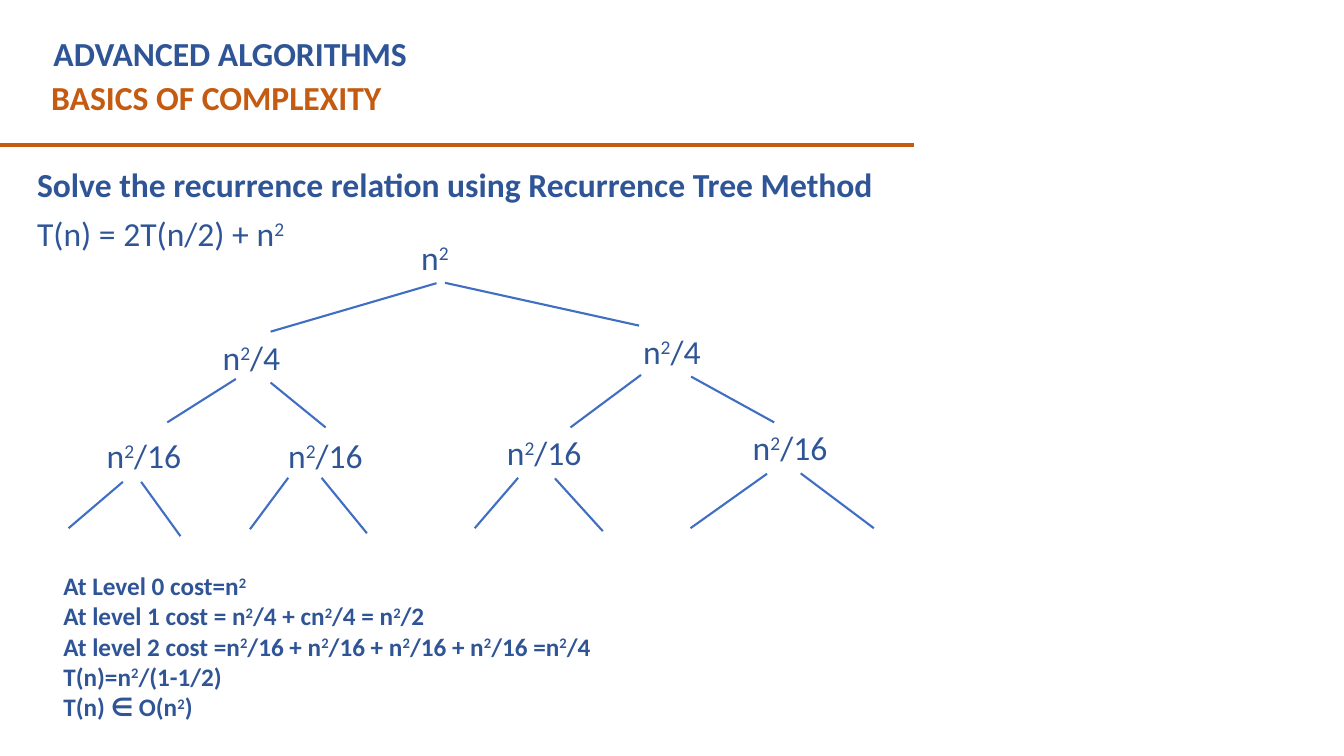
from dataclasses import dataclass

from lxml.etree import SubElement
from pptx import Presentation
from pptx.dml.color import RGBColor
from pptx.enum.shapes import MSO_CONNECTOR
from pptx.enum.text import MSO_ANCHOR, MSO_AUTO_SIZE, PP_ALIGN
from pptx.oxml.ns import qn
from pptx.util import Pt

BLUE = RGBColor(0x2F, 0x55, 0x97)
ORANGE = RGBColor(0xC5, 0x5A, 0x11)
BRANCH_BLUE = RGBColor(0x3F, 0x6E, 0xC2)

NODE_HEIGHT = 36.4
JOIN_TOLERANCE = 1
TOP, BOTTOM = 0, 2
SUPERSCRIPT = "²"

Point = tuple[float, float]


@dataclass(frozen=True)
class Box:
    left: float
    top: float
    width: float
    height: float


@dataclass(frozen=True)
class Style:
    size: float = 24
    color: RGBColor = BLUE
    bold: bool = False


@dataclass(frozen=True)
class Node:
    label: str
    left: float
    top: float
    left_branch: tuple[Point, Point]
    right_branch: tuple[Point, Point]
    width: float = 82.8

    def side_middle(self, side: int) -> Point:
        drop = NODE_HEIGHT if side == BOTTOM else 0
        return self.left + self.width / 2, self.top + drop


HEADING = Style(bold=True)
SUBHEADING = Style(color=ORANGE, bold=True)
TREE = Style()
COST = Style(size=18, bold=True)

NODES = [
    Node("n²", 293.8, 165.6, ((311.8, 202.3), (193.7, 236.9)),
         ((318.2, 202.3), (456.5, 232.6)), width=48.2),
    Node("n²/4", 151.9, 236.9, ((168.5, 270.7), (119.5, 301.7)),
         ((193.7, 272.9), (232.6, 305.3))),
    Node("n²/4", 452.2, 232.6, ((457.9, 267.8), (407.5, 305.3)),
         ((493.2, 269.3), (553, 301.7))),
    Node("n²/16", 69.1, 307.4, ((87.8, 344.2), (49, 377.3)),
         ((100.8, 344.2), (128.9, 383))),
    Node("n²/16", 198.7, 307.4, ((205.9, 341.3), (178.6, 378)),
         ((229.7, 341.3), (262.1, 380.9))),
    Node("n²/16", 355, 305.3, ((370.1, 341.3), (339.1, 377.3)),
         ((396, 341.3), (430.6, 379.4))),
    Node("n²/16", 530.6, 301.7, ((547.9, 338.4), (493.2, 377.3)),
         ((572.4, 338.4), (624.2, 377.3))),
]

COSTS = [
    "At Level 0 cost=n²",
    "At level 1 cost = n²/4 + cn²/4 = n²/2",
    "At level 2 cost =n²/16 + n²/16 + n²/16 + n²/16 =n²/4",
    "T(n)=n²/(1-1/2)",
    "T(n) ∈ O(n²)",
]


def set_format(target, values: dict) -> None:
    for name, value in values.items():
        setattr(target, name, value)


def add_run(paragraph, text: str, style: Style, raised: bool = False) -> None:
    run = paragraph.add_run()
    run.text = text
    set_format(run.font, {"name": "Calibri", "size": Pt(style.size), "bold": style.bold})
    run.font.color.rgb = style.color
    if raised:
        run._r.get_or_add_rPr().set("baseline", "30000")


def add_formula(paragraph, text: str, style: Style) -> None:
    for index, part in enumerate(text.split(SUPERSCRIPT)):
        if index:
            add_run(paragraph, "2", style, raised=True)
        if part:
            add_run(paragraph, part, style)


def fill_frame(frame, lines: list[tuple[str, Style]], frame_format: dict,
               paragraph_format: dict, indent: float = 0) -> None:
    set_format(frame, {
        "word_wrap": True, "auto_size": MSO_AUTO_SIZE.NONE,
        "vertical_anchor": MSO_ANCHOR.TOP,
        "margin_left": Pt(7.2), "margin_right": Pt(7.2),
        "margin_top": Pt(3.6), "margin_bottom": Pt(3.6), **frame_format,
    })
    for index, (text, style) in enumerate(lines):
        paragraph = frame.add_paragraph() if index else frame.paragraphs[0]
        set_format(paragraph, {"alignment": PP_ALIGN.LEFT, **paragraph_format})
        if indent:
            paragraph._p.get_or_add_pPr().set("marL", str(Pt(indent)))
        add_formula(paragraph, text, style)


def add_text(slide, box: Box, lines: list[tuple[str, Style]],
             frame_format: dict | None = None,
             paragraph_format: dict | None = None, indent: float = 0):
    label = slide.shapes.add_textbox(Pt(box.left), Pt(box.top), Pt(box.width), Pt(box.height))
    fill_frame(label.text_frame, lines, frame_format or {}, paragraph_format or {}, indent)
    return label


def add_line(slide, start: Point, end: Point, color: RGBColor, weight: float):
    line = slide.shapes.add_connector(
        MSO_CONNECTOR.STRAIGHT, *(Pt(length) for length in (*start, *end)))
    line.line.color.rgb = color
    line.line.width = Pt(weight)
    SubElement(line._element.spPr, qn("a:effectLst"))
    return line


def touches(point: Point, middle: Point) -> bool:
    return all(abs(a - b) <= JOIN_TOLERANCE for a, b in zip(point, middle))


def add_tree(slide) -> None:
    labels = [
        add_text(slide, Box(node.left, node.top, node.width, NODE_HEIGHT),
                 [(node.label, TREE)])
        for node in NODES
    ]
    for node in NODES:
        for start, end in (node.left_branch, node.right_branch):
            branch = add_line(slide, start, end, BRANCH_BLUE, 1.5)
            for other, label in zip(NODES, labels):
                if touches(start, other.side_middle(BOTTOM)):
                    branch.begin_connect(label, BOTTOM)
                if touches(end, other.side_middle(TOP)):
                    branch.end_connect(label, TOP)


def main() -> None:
    presentation = Presentation()
    set_format(presentation, {"slide_width": Pt(960), "slide_height": Pt(540)})
    slide = presentation.slides.add_slide(presentation.slide_layouts[5])

    title = slide.shapes.title
    set_format(title, {"left": Pt(31), "top": Pt(20.2),
                       "width": Pt(590.4), "height": Pt(36.4)})
    fill_frame(title.text_frame, [("ADVANCED ALGORITHMS", HEADING)], {}, {})

    add_text(slide, Box(29.5, 51.1, 630, 36.4), [("BASICS OF COMPLEXITY", SUBHEADING)])
    add_line(slide, (-0.7, 103.7), (653, 103.7), ORANGE, 3)
    add_text(
        slide, Box(12.2, 103, 653, 92.2),
        [("Solve the recurrence relation using Recurrence Tree Method", HEADING),
         ("T(n) = 2T(n/2) + n²", TREE)],
        {"vertical_anchor": MSO_ANCHOR.MIDDLE, "margin_top": 0, "margin_bottom": 0},
        {"alignment": PP_ALIGN.JUSTIFY, "space_after": Pt(6)},
        indent=7.2,
    )
    add_tree(slide)
    add_text(slide, Box(38.2, 403.9, 585.4, 115.2), [(cost, COST) for cost in COSTS])

    presentation.save("out.pptx")


if __name__ == "__main__":
    main()
